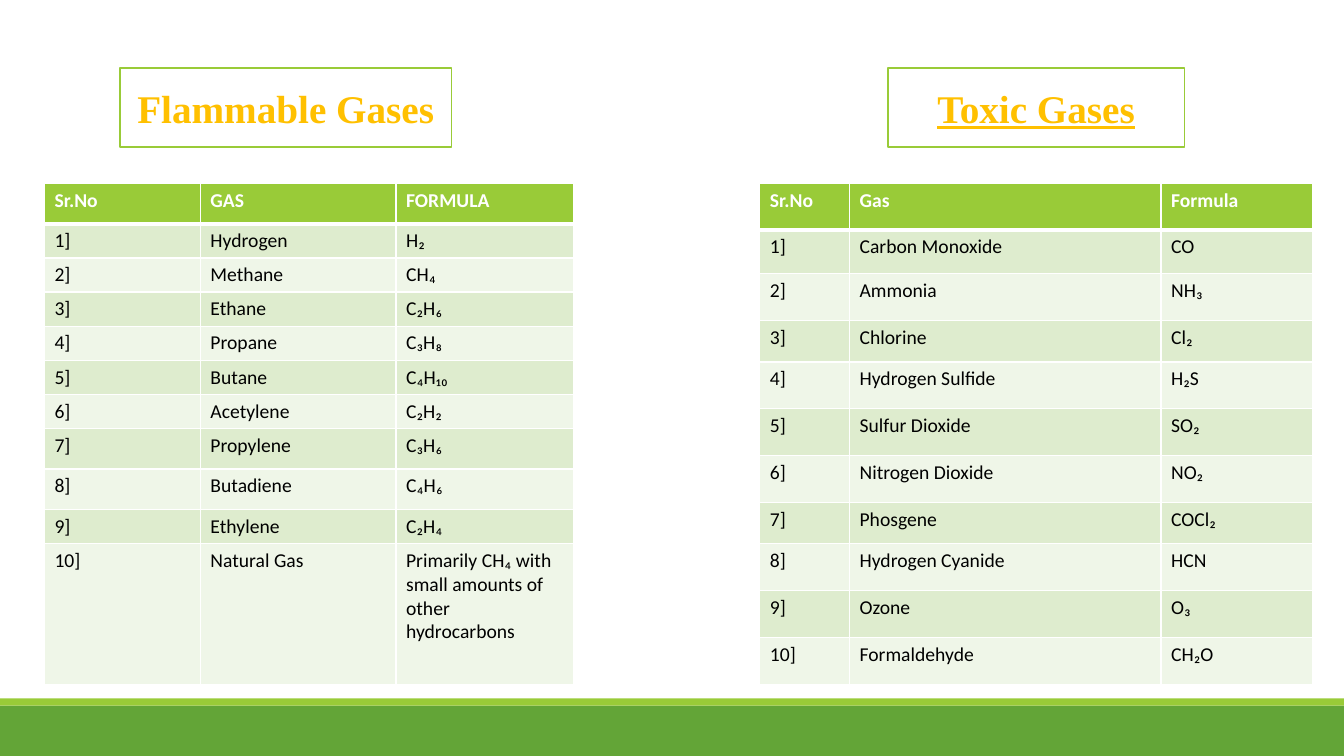
from dataclasses import dataclass

from lxml.etree import SubElement
from pptx import Presentation
from pptx.dml.color import RGBColor
from pptx.enum.shapes import MSO_SHAPE as Preset
from pptx.enum.text import MSO_ANCHOR as Anchor, MSO_AUTO_SIZE as AutoSize, PP_ALIGN as Align
from pptx.oxml.ns import qn
from pptx.shapes.autoshape import Shape
from pptx.slide import Slide
from pptx.table import _Cell as Cell
from pptx.text.text import Font
from pptx.util import Cm, Pt

COLORS = {
    "white": "FFFFFF",
    "black": "000000",
    "lime": "99CB38",
    "green": "63A537",
    "amber": "FFC000",
    "band_dark": "DEECCE",
    "band_light": "EFF6E8",
}
HEADING_FONT = {"name": "Times New Roman", "size": Pt(28), "bold": True}
CELL_FONT = {"name": "Calibri", "size": Pt(14)}
SLIDE_WIDTH, SLIDE_HEIGHT = 33.87, 19.05
HEADING_TOP, HEADING_HEIGHT = 1.71, 2.0
TABLE_TOP = 4.62


@dataclass(frozen=True)
class Bar:
    top: float
    height: float
    color: str


@dataclass(frozen=True)
class Heading:
    text: str
    left: float
    width: float
    underline: bool


@dataclass(frozen=True)
class GasTable:
    left: float
    columns: list[float]
    row_heights: list[float]
    header: tuple[str, str, str]
    gases: list[tuple[str, str]]


FOOTER_BARS = [Bar(17.78, 1.27, "green"), Bar(17.6, 0.18, "lime")]

FLAMMABLE_HEADING = Heading("Flammable Gases", 3.02, 8.36, False)
TOXIC_HEADING = Heading("Toxic Gases", 22.37, 7.48, True)

FLAMMABLE_TABLE = GasTable(
    left=1.12,
    columns=[3.93, 4.93, 4.47],
    row_heights=[1.02] + [0.86] * 6 + [1.02] * 2 + [0.86, 3.56],
    header=("Sr.No", "GAS", "FORMULA"),
    gases=[
        ("Hydrogen", "H₂"),
        ("Methane", "CH₄"),
        ("Ethane", "C₂H₆"),
        ("Propane", "C₃H₈"),
        ("Butane", "C₄H₁₀"),
        ("Acetylene", "C₂H₂"),
        ("Propylene", "C₃H₆"),
        ("Butadiene", "C₄H₆"),
        ("Ethylene", "C₂H₄"),
        ("Natural Gas", "Primarily CH₄ with small amounts of other hydrocarbons"),
    ],
)
TOXIC_TABLE = GasTable(
    left=19.15,
    columns=[2.26, 7.85, 3.81],
    row_heights=[1.18, 1.1, 1.18, 1.04] + [1.18] * 3 + [1.04] + [1.18] * 3,
    header=("Sr.No", "Gas", "Formula"),
    gases=[
        ("Carbon Monoxide", "CO"),
        ("Ammonia", "NH₃"),
        ("Chlorine", "Cl₂"),
        ("Hydrogen Sulfide", "H₂S"),
        ("Sulfur Dioxide", "SO₂"),
        ("Nitrogen Dioxide", "NO₂"),
        ("Phosgene", "COCl₂"),
        ("Hydrogen Cyanide", "HCN"),
        ("Ozone", "O₃"),
        ("Formaldehyde", "CH₂O"),
    ],
)


def rgb(color: str) -> RGBColor:
    return RGBColor.from_string(COLORS[color])


def format_font(font: Font, formats: dict, color: str) -> None:
    for attribute, value in formats.items():
        setattr(font, attribute, value)
    font.color.rgb = rgb(color)


def add_bar(slide: Slide, bar: Bar) -> None:
    band = slide.shapes.add_shape(
        Preset.RECTANGLE, 0, Cm(bar.top), Cm(SLIDE_WIDTH), Cm(bar.height)
    )
    band.shadow.inherit = False
    band.fill.solid()
    band.fill.fore_color.rgb = rgb(bar.color)
    band.line.fill.background()


def fill_heading(box: Shape, heading: Heading) -> None:
    """Place, outline and write one heading box."""
    placement = {
        "left": Cm(heading.left),
        "top": Cm(HEADING_TOP),
        "width": Cm(heading.width),
        "height": Cm(HEADING_HEIGHT),
    }
    for attribute, value in placement.items():
        setattr(box, attribute, value)
    box.fill.background()
    box.line.color.rgb = rgb("lime")
    box.line.width = Pt(1.25)
    frame = box.text_frame
    frame.auto_size = AutoSize.NONE
    frame.word_wrap = True
    frame.vertical_anchor = Anchor.MIDDLE
    paragraph = frame.paragraphs[0]
    paragraph.alignment = Align.CENTER
    run = paragraph.add_run()
    run.text = heading.text
    format_font(run.font, HEADING_FONT | {"underline": heading.underline}, "amber")


def add_borders(cell: Cell, top: float, bottom: float) -> None:
    """Draw white cell borders; top and bottom are widths in points."""
    properties = cell._tc.get_or_add_tcPr()
    for side, width in {"lnL": 1, "lnR": 1, "lnT": top, "lnB": bottom}.items():
        line = SubElement(properties, qn(f"a:{side}"), w=str(Pt(width)))
        SubElement(SubElement(line, qn("a:solidFill")), qn("a:srgbClr"), val=COLORS["white"])


def add_gas_table(slide: Slide, gas_table: GasTable) -> None:
    rows = [gas_table.header]
    rows += [(f"{number}]", *gas) for number, gas in enumerate(gas_table.gases, 1)]
    table = slide.shapes.add_table(
        len(rows), len(gas_table.columns), Cm(gas_table.left), Cm(TABLE_TOP),
        Cm(sum(gas_table.columns)), Cm(sum(gas_table.row_heights)),
    ).table
    for column, width in zip(table.columns, gas_table.columns):
        column.width = Cm(width)
    for index, (row, height, texts) in enumerate(zip(table.rows, gas_table.row_heights, rows)):
        row.height = Cm(height)
        is_header = index == 0
        band = "lime" if is_header else ("band_light", "band_dark")[index % 2]
        for cell, text in zip(row.cells, texts):
            add_borders(cell, top=3 if index == 1 else 1, bottom=3 if is_header else 1)
            cell.fill.solid()
            cell.fill.fore_color.rgb = rgb(band)
            run = cell.text_frame.paragraphs[0].add_run()
            run.text = text
            format_font(run.font, CELL_FONT | {"bold": is_header},
                        "white" if is_header else "black")


def main() -> None:
    presentation = Presentation()
    presentation.slide_width = Cm(SLIDE_WIDTH)
    presentation.slide_height = Cm(SLIDE_HEIGHT)
    slide = presentation.slides.add_slide(presentation.slide_layouts.get_by_name("Title Only"))

    for bar in FOOTER_BARS:
        add_bar(slide, bar)

    fill_heading(slide.shapes.title, FLAMMABLE_HEADING)
    toxic_box = slide.shapes.add_shape(Preset.RECTANGLE, 0, 0, 0, 0)
    toxic_box.shadow.inherit = False
    fill_heading(toxic_box, TOXIC_HEADING)

    for gas_table in (FLAMMABLE_TABLE, TOXIC_TABLE):
        add_gas_table(slide, gas_table)

    presentation.save("out.pptx")


if __name__ == "__main__":
    main()
